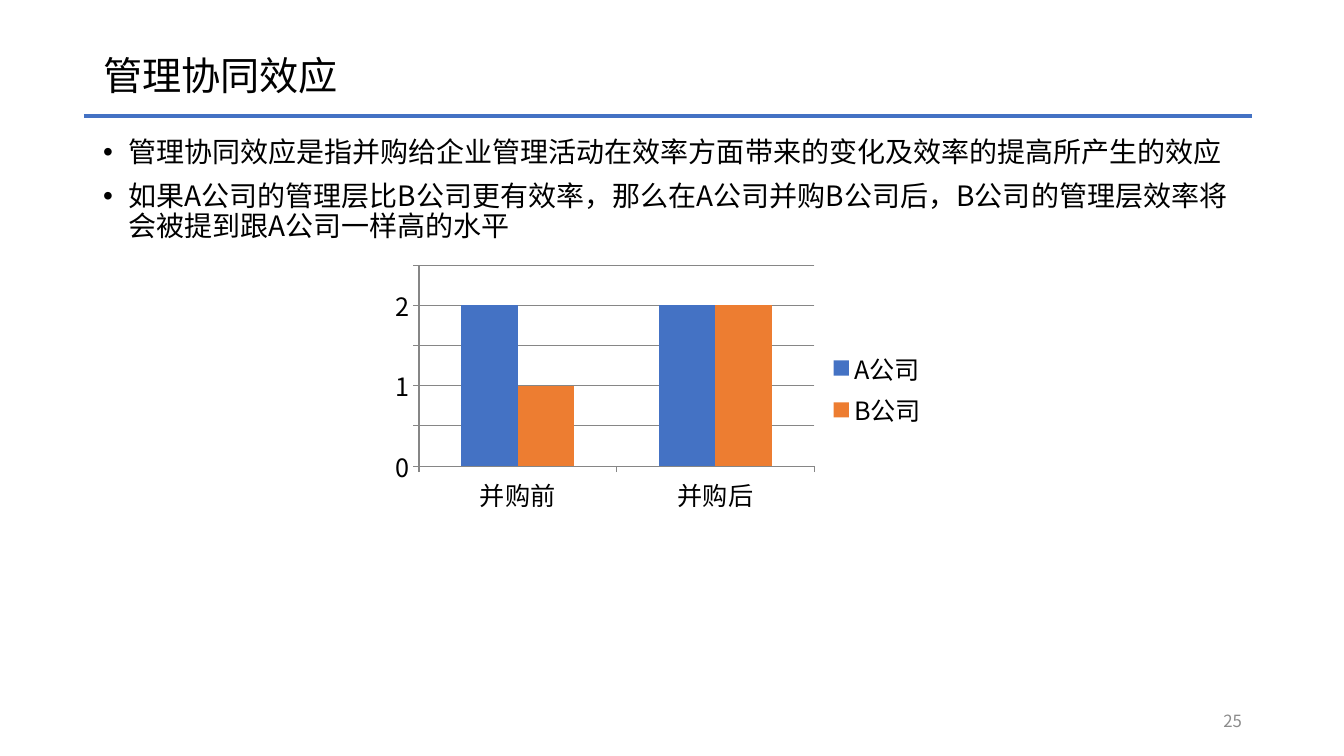
from lxml.etree import SubElement
from pptx import Presentation
from pptx.chart.data import CategoryChartData
from pptx.dml.color import RGBColor
from pptx.enum.chart import XL_CHART_TYPE as ChartType, XL_LEGEND_POSITION as LegendPosition
from pptx.enum.chart import XL_TICK_MARK as TickMark
from pptx.enum.shapes import MSO_CONNECTOR as Connector
from pptx.enum.text import MSO_ANCHOR as Anchor, MSO_AUTO_SIZE as AutoSize, PP_ALIGN as Align
from pptx.oxml.ns import qn
from pptx.util import Emu, Pt

COLORS = {"text": "000000", "muted": "8C8C8C", "grid": "868686",
          "blue": "4472C4", "orange": "ED7D31"}


def px(value):
    return Emu(round(value * 914400 / 100.8))


def color(name):
    return RGBColor.from_string(COLORS[name])


class SlideBuilder:
    typeface = "Noto Sans CJK SC"

    def __init__(self, deck):
        self.slide = deck.slides.add_slide(deck.slide_layouts[1])

    def place(self, shape, box):
        shape.left, shape.top, shape.width, shape.height = map(px, box)

    def style(self, font, root, size, ink="text"):
        font.size = Pt(size)
        font.color.rgb = color(ink)
        font.name = self.typeface
        for props in root.iter(qn("a:defRPr")):
            SubElement(props, qn("a:ea")).set("typeface", self.typeface)

    def fill_text(self, frame, lines, size, ink="text", align=Align.LEFT,
                  anchor=Anchor.MIDDLE, spacing=1.0, before=0, bullet=None):
        frame.word_wrap = True
        frame.auto_size = AutoSize.NONE
        frame.vertical_anchor = anchor
        frame.text = "\n".join(lines)
        for index, paragraph in enumerate(frame.paragraphs):
            paragraph.alignment = align
            paragraph.line_spacing = spacing
            paragraph.space_before = Pt(before if index else 0)
            if bullet:
                props = paragraph._p.get_or_add_pPr()
                props.set("marL", str(px(25)))
                props.set("indent", str(-px(25)))
                SubElement(props, qn("a:buFont")).set("typeface", "Arial")
                SubElement(props, qn("a:buChar")).set("char", bullet)
            self.style(paragraph.font, paragraph._p, size, ink)

    def title(self, text, box):
        heading = self.slide.shapes.title
        self.place(heading, box)
        self.fill_text(heading.text_frame, [text], 28, spacing=0.9)

    def bullets(self, lines, box):
        body = self.slide.placeholders[1]
        self.place(body, box)
        self.fill_text(body.text_frame, lines, 20, anchor=Anchor.TOP,
                       spacing=0.9, before=10, bullet="•")

    def rule(self, left, right, y):
        divider = self.slide.shapes.add_connector(
            Connector.STRAIGHT, px(left), px(y), px(right), px(y))
        divider.line.color.rgb = color("blue")
        divider.line.width = Pt(3)
        SubElement(divider._element.spPr, qn("a:effectLst"))

    def page_number(self, text, box):
        number = self.slide.shapes.add_textbox(*map(px, box))
        self.fill_text(number.text_frame, [text], 12, "muted", Align.RIGHT)

    def columns(self, categories, series, box):
        data = CategoryChartData()
        data.categories = categories
        for name, values, _ in series:
            data.add_series(name, values)
        chart = self.slide.shapes.add_chart(
            ChartType.COLUMN_CLUSTERED, *map(px, box), data).chart
        chart.has_title = False
        self.style(chart.font, chart.element, 18)
        chart.has_legend = True
        chart.legend.position = LegendPosition.RIGHT
        chart.legend.include_in_layout = False

        plot = chart.plots[0]
        plot.gap_width = 150
        plot.overlap = 0
        plot.vary_by_categories = False
        for bars, (_, _, ink) in zip(plot.series, series):
            bars.format.fill.solid()
            bars.format.fill.fore_color.rgb = color(ink)

        efficiency = chart.value_axis
        efficiency.minimum_scale = 0
        efficiency.maximum_scale = 2.5
        efficiency.major_unit = 0.5
        efficiency.has_major_gridlines = True
        for axis in (chart.category_axis, efficiency):
            axis.major_tick_mark = TickMark.OUTSIDE
            axis.minor_tick_mark = TickMark.NONE
        for outline in (chart.category_axis, efficiency, efficiency.major_gridlines):
            outline.format.line.color.rgb = color("grid")
            outline.format.line.width = Pt(0.75)


def main():
    deck = Presentation()
    deck.slide_width, deck.slide_height = px(1344), px(756)
    synergy = SlideBuilder(deck)
    synergy.title("管理协同效应", (93, 40, 1159, 75))
    synergy.bullets([
        "管理协同效应是指并购给企业管理活动在效率方面带来的变化及效率的提高所产生的效应",
        "如果A公司的管理层比B公司更有效率，那么在A公司并购B公司后，B公司的管理层效率将会被提到跟A公司一样高的水平",
    ], (93, 133, 1159, 548))
    synergy.rule(84, 1252, 116)
    synergy.page_number("25", (950, 701, 302, 40))
    synergy.columns(
        ["并购前", "并购后"],
        [("A公司", (2, 2), "blue"), ("B公司", (1, 2), "orange")],
        (384, 260, 554, 258))
    deck.save("out.pptx")


if __name__ == "__main__":
    main()
